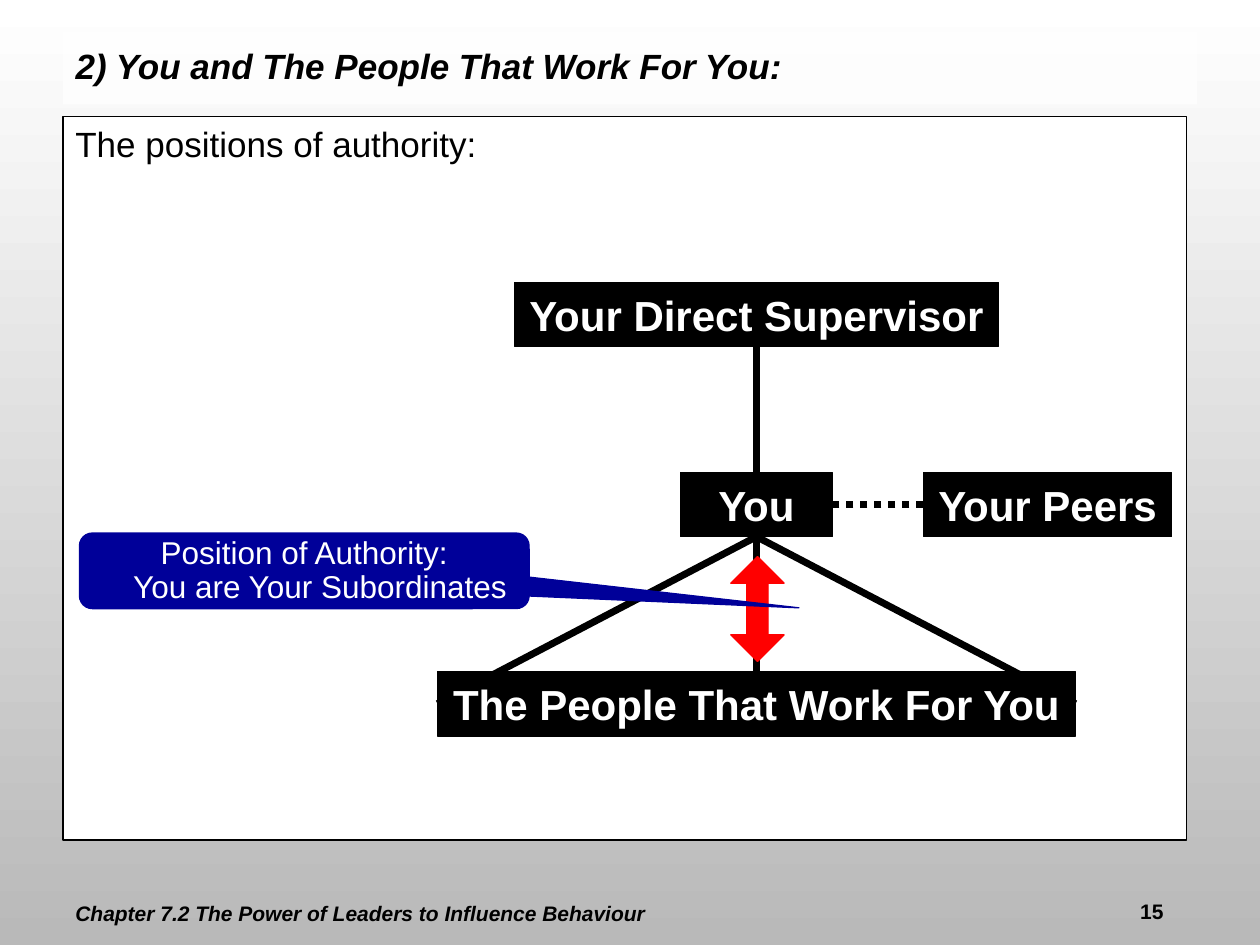
from lxml import etree
from pptx import Presentation
from pptx import util as u
from pptx.dml.color import RGBColor
from pptx.enum import dml, shapes, text
from pptx.oxml.ns import qn

COLORS = {
    "black": "000000",
    "white": "FFFFFF",
    "grey": "B9B9B9",
    "red": "FF0000",
    "navy": "000099",
}
LEFT, CENTER, RIGHT = text.PP_ALIGN.LEFT, text.PP_ALIGN.CENTER, text.PP_ALIGN.RIGHT
TOP, MIDDLE = text.MSO_ANCHOR.TOP, text.MSO_ANCHOR.MIDDLE
SHAPE = shapes.MSO_SHAPE


def rgb(name):
    return RGBColor.from_string(COLORS[name])


def points(*values):
    return [u.Pt(value) for value in values]


class SlideBuilder:
    """Style and current page; all lengths are points."""

    font = "Arial"

    def __init__(self, page):
        self.page = page

    def background(self, top, bottom):
        fill = self.page.background.fill
        fill.gradient()
        fill.gradient_angle = 270
        for stop, name in zip(fill.gradient_stops, (top, bottom)):
            stop.color.rgb = rgb(name)

    def set_text(self, box, words, size, color="black", bold=False, italic=False,
                 align=LEFT, anchor=MIDDLE, wrap=True, spacing=None):
        frame = box.text_frame
        frame.text = words
        frame.word_wrap = wrap
        frame.auto_size = text.MSO_AUTO_SIZE.NONE
        frame.vertical_anchor = anchor
        for para in frame.paragraphs:
            para.alignment = align
            para.space_before = u.Pt(0)
            if spacing:
                para.line_spacing = spacing
            for span in para.runs:
                span.font.name = self.font
                span.font.size = u.Pt(size)
                span.font.bold = bold
                span.font.italic = italic
                span.font.color.rgb = rgb(color)

    def title(self, words, area, opacity):
        box = self.page.shapes.title
        box.left, box.top, box.width, box.height = points(*area)
        box.fill.solid()
        box.fill.fore_color.rgb = rgb("white")
        tint = box._element.spPr.find(".//" + qn("a:srgbClr"))
        etree.SubElement(tint, qn("a:alpha"), val=str(opacity * 1000))
        self.set_text(box, words, 20, bold=True, italic=True, spacing=0.9)

    def label(self, words, area, **style):
        box = self.page.shapes.add_textbox(*points(*area))
        self.set_text(box, words, 12, bold=True, **style)

    def shape(self, kind, area, fill, line, adjustments=()):
        box = self.page.shapes.add_shape(kind, *points(*area))
        box.shadow.inherit = False
        box.fill.solid()
        box.fill.fore_color.rgb = rgb(fill)
        box.line.color.rgb = rgb(line)
        box.line.width = u.Pt(0.75)
        for index, value in enumerate(adjustments):
            box.adjustments[index] = value
        return box

    def role(self, words, left, top, width):
        box = self.shape(SHAPE.RECTANGLE, (left, top, width, ROLE_HEIGHT), "black", "black")
        self.set_text(box, words, 24, "white", bold=True, align=CENTER, wrap=False)

    def link(self, start, end, dash=None):
        line = self.page.shapes.add_connector(
            shapes.MSO_CONNECTOR.STRAIGHT, *points(*start, *end))
        line.line.color.rgb = rgb("black")
        line.line.width = u.Pt(4)
        if dash:
            line.line.dash_style = dash
        etree.SubElement(line._element.spPr, qn("a:effectLst"))

    def callout(self, words, area, adjustments):
        box = self.shape(SHAPE.ROUNDED_RECTANGULAR_CALLOUT, area, "navy", "navy", adjustments)
        self.set_text(box, words, 18, "white", align=CENTER, spacing=0.9)
        properties = box.text_frame.paragraphs[0]._p.get_or_add_pPr()
        properties.set("marL", str(u.Pt(18)))
        properties.set("indent", str(u.Pt(-18)))


ROLE_HEIGHT = 36.7
AXIS = 432.3
SUPERVISOR_TOP, YOU_TOP, TEAM_TOP = 161.3, 270, 383.8
YOU_WIDTH, TEAM_WIDTH = 87.2, 364.6
PEERS_LEFT = 527.6


def main():
    deck = Presentation()
    deck.slide_width, deck.slide_height = points(720, 540)
    page = deck.slides.add_slide(deck.slide_layouts[5])
    slide = SlideBuilder(page)
    slide.background("white", "grey")
    slide.title("2) You and The People That Work For You:", (36, 18, 648, 41.8), 70)

    panel = slide.shape(SHAPE.RECTANGLE, (36, 66.7, 642, 413.3), "white", "black")
    slide.set_text(panel, "The positions of authority:", 20, anchor=TOP)

    you_bottom = YOU_TOP + ROLE_HEIGHT
    you_middle = YOU_TOP + ROLE_HEIGHT / 2
    team_middle = TEAM_TOP + ROLE_HEIGHT / 2
    slide.link((AXIS, SUPERVISOR_TOP + ROLE_HEIGHT), (AXIS, YOU_TOP))
    slide.link((AXIS, you_bottom), (AXIS, TEAM_TOP))
    for side in (-1, 1):
        slide.link((AXIS, you_bottom), (AXIS + side * TEAM_WIDTH / 2, team_middle))
    slide.link((PEERS_LEFT, you_middle), (AXIS + YOU_WIDTH / 2, you_middle),
               dml.MSO_LINE.ROUND_DOT)

    for words, top, width in (
        ("Your Direct Supervisor", SUPERVISOR_TOP, 276.8),
        ("You", YOU_TOP, YOU_WIDTH),
        ("The People That Work For You", TEAM_TOP, TEAM_WIDTH),
    ):
        slide.role(words, AXIS - width / 2, top, width)
    slide.role("Your Peers", PEERS_LEFT, YOU_TOP, 142)

    slide.shape(SHAPE.UP_DOWN_ARROW, (417.6, 318, 30.5, 60), "red", "red", (0.5, 0.4))
    slide.callout("Position of Authority:\vYou are Your Subordinates",
                  (45.4, 304.6, 257, 43.2), (1.1, 0.49, 0.17))

    slide.label("Chapter 7.2 The Power of Leaders to Influence Behaviour",
                (36, 504.5, 396, 36), italic=True, spacing=0.9)
    slide.label("15", (600, 510, 72, 18), align=RIGHT, anchor=TOP)
    deck.save("out.pptx")


if __name__ == "__main__":
    main()
